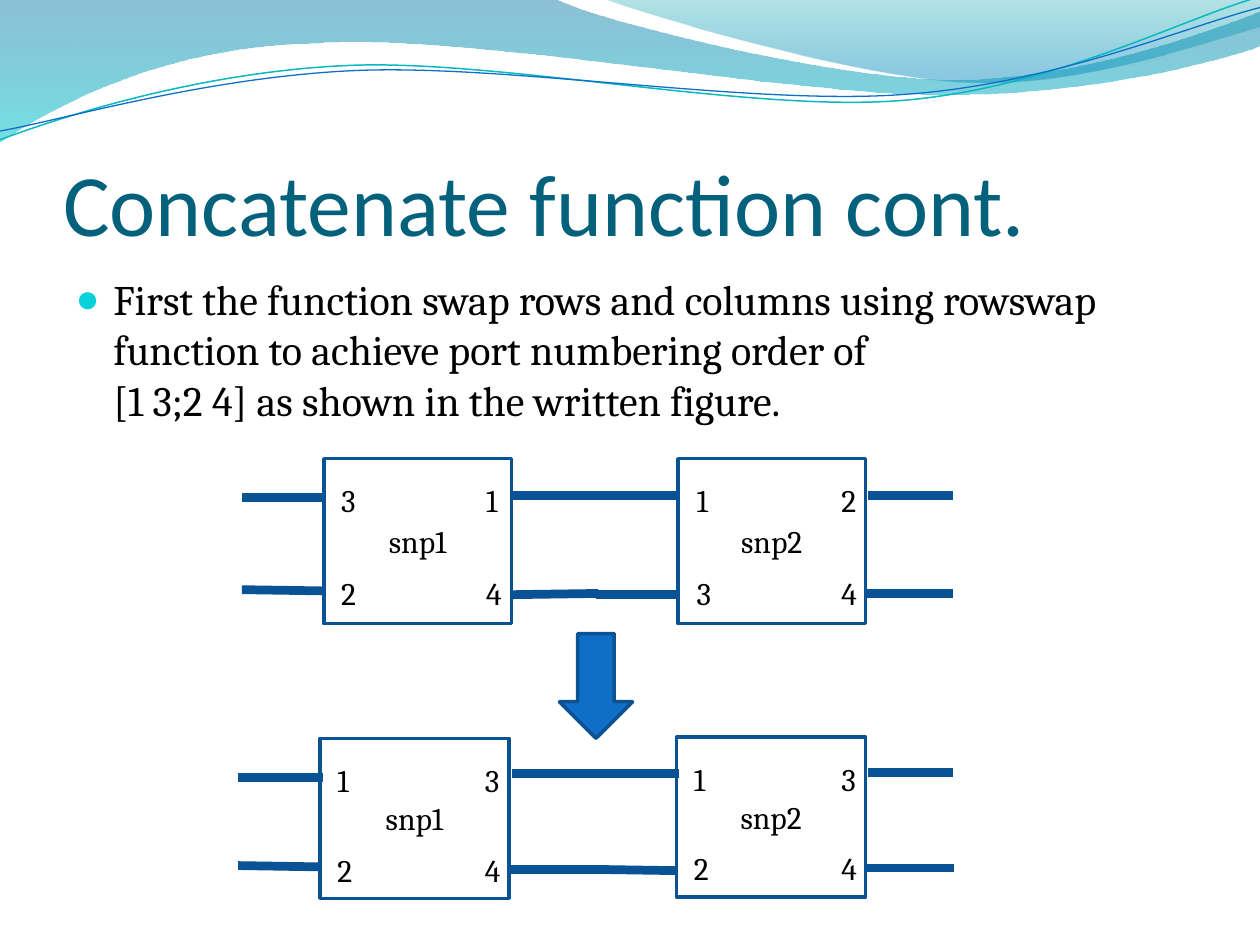
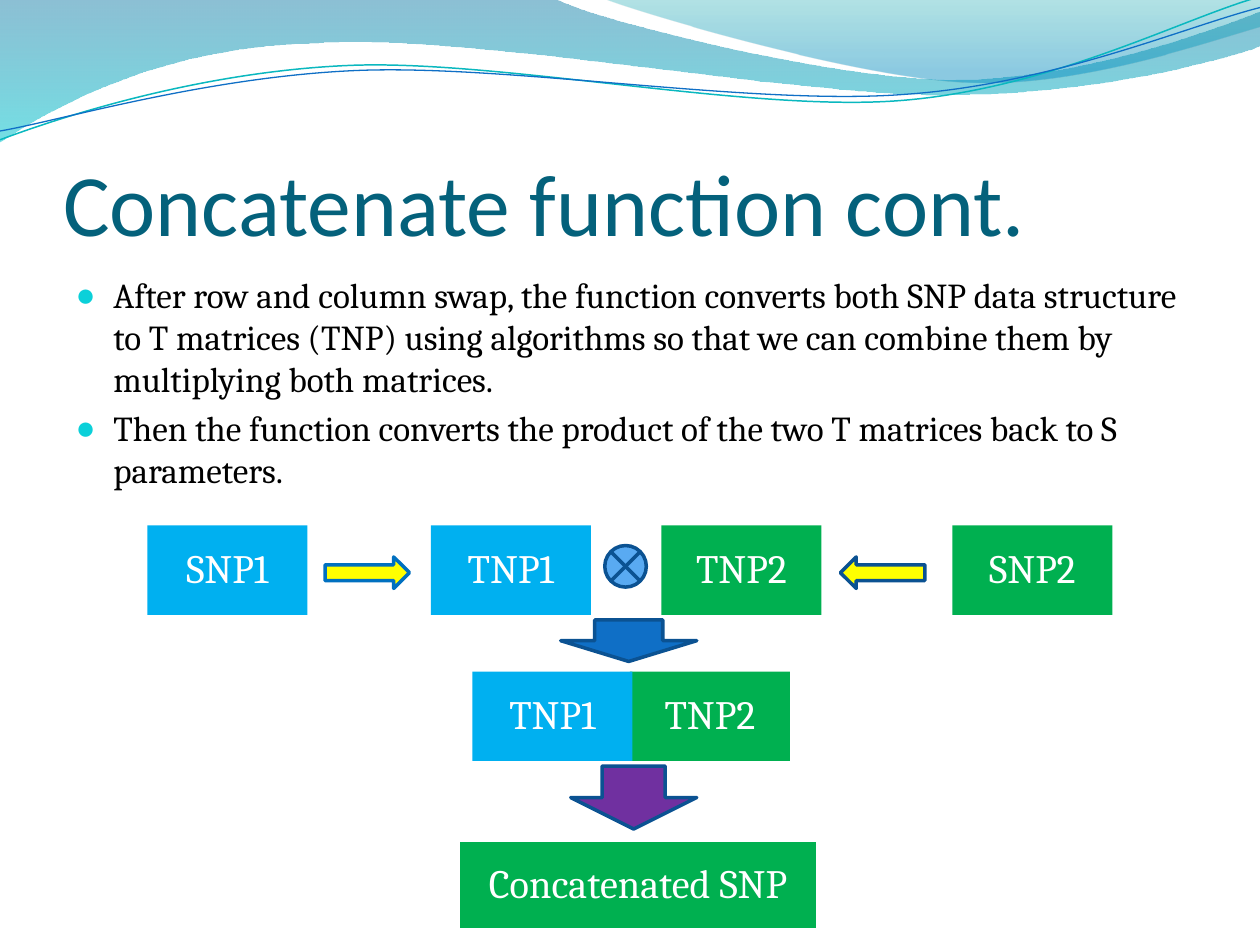
from lxml.etree import Element, SubElement
from pptx import Presentation
from pptx.dml.color import RGBColor
from pptx.enum.shapes import MSO_CONNECTOR, MSO_SHAPE
from pptx.enum.text import MSO_ANCHOR, PP_ALIGN
from pptx.oxml.ns import qn
from pptx.util import Inches, Pt

HUES = {
    "title": "04617B", "text": "000000", "white": "FFFFFF", "bullet": "0BD0D9",
    "blue": "0F6FC6", "edge": "0B5292", "wire": "095295", "sky": "00B0F0",
    "green": "00B050", "yellow": "FFFF00", "rim": "0070C0", "pale": "59AAF2",
    "purple": "7030A0", "teal": "0AB8BF", "deep": "0074A1", "aqua": "00C6CF",
    "sea": "00A1A9", "lake": "008BBF",
}
RGB = {name: RGBColor.from_string(code) for name, code in HUES.items()}


def write(frame, text, size, hue="text", font="Cambria", align=PP_ALIGN.LEFT):
    frame.word_wrap = True
    frame.text = text
    for para in frame.paragraphs:
        para.alignment = align
        para.font.name = font
        para.font.size = Pt(size)
        para.font.color.rgb = RGB[hue]


def put(slide, kind, box, fill=None, edge=None):
    """Add a preset shape; without a fill or edge hue that part stays clear."""
    shape = slide.shapes.add_shape(kind, *map(Inches, box))
    shape.shadow.inherit = False
    if fill:
        shape.fill.solid()
        shape.fill.fore_color.rgb = RGB[fill]
    else:
        shape.fill.background()
    if edge:
        shape.line.color.rgb = RGB[edge]
        shape.line.width = Pt(2)
    else:
        shape.line.fill.background()
    return shape


deck = Presentation()
deck.slide_width, deck.slide_height = Inches(10), Inches(7.5)

# Shared layout: title and body places
layout = deck.slide_layouts[1]
for holder, box in zip(layout.placeholders, [(0.5, 0.77, 9, 1.25), (0.5, 2.12, 9, 4.8)]):
    holder.left, holder.top, holder.width, holder.height = map(Inches, box)

# The two slides with their titles and lists
pages = [
    (24, "First the function swap rows and columns using rowswap function to "
         "achieve port numbering order of \v[1 3;2 4] as shown in the written figure."),
    (20, "After row and column swap, the function converts both SNP data structure "
         "to T matrices (TNP) using algorithms so that we can combine them by "
         "multiplying both matrices.\n"
         "Then the function converts the product of the two T matrices back to S "
         "parameters."),
]
for size, text in pages:
    slide = deck.slides.add_slide(layout)
    head = slide.shapes.title.text_frame
    write(head, "Concatenate function cont.", 50, "title", "Calibri")
    head.vertical_anchor = MSO_ANCHOR.BOTTOM
    head.margin_left = head.margin_right = head.margin_bottom = 0
    body = slide.placeholders[1].text_frame
    write(body, text, size)
    for para in body.paragraphs:
        props = para._p.get_or_add_pPr()
        props.set("marL", str(Inches(0.3)))
        props.set("indent", str(Inches(-0.3)))
        tint = Element(qn("a:buClr"))
        SubElement(tint, qn("a:srgbClr"), val=HUES["bullet"])
        marks = [tint, Element(qn("a:buSzPct"), val="95000"),
                 Element(qn("a:buChar"), char="●")]
        for spot, mark in enumerate(marks):
            props.insert(spot, mark)
swap, join = deck.slides

# Waves: a start, then line ends (2 numbers) or Bezier curves (6 numbers);
# a gradient is (position, hue, opacity), a line is (hue, width)
waves = [
    ([(0, 0), (4.4, -0.01), (4.76, 0.17, 6.64, 0.63, 7.58, 0.63),
      (8.53, 0.63, 9.58, 0.26, 10, 0.09), (10.01, 0.36),
      (9.83, 0.44, 8.7, 0.76, 7.46, 0.75), (6.22, 0.75, 3.82, 0.28, 2.57, 0.34),
      (1.29, 0.36, 0.46, 0.83, -0.01, 1.13), (0, 0)],
     [(0, "deep", 45), (1, "aqua", 55)], None),
    ([(4.79, -0.01), (5.09, 0.11, 6.82, 0.62, 7.69, 0.65),
      (8.56, 0.69, 9.61, 0.32, 10, 0.21), (10, 0), (4.79, -0.01)],
     [(0, "sea", 30), (0.8, "lake", 45)], None),
    ([(0, 1.11), (0.48, 0.93, 1.58, 0.57, 2.77, 0.52),
      (3.95, 0.47, 5.93, 0.89, 7.13, 0.8), (8.33, 0.71, 9.38, 0.15, 9.98, -0.02)],
     None, ("teal", 0.85)),
    ([(0, 1.04), (0.47, 0.96, 1.64, 0.61, 2.83, 0.56),
      (4.03, 0.51, 5.97, 0.84, 7.17, 0.75), (8.36, 0.67, 9.41, 0.21, 10, 0.06)],
     None, ("blue", 0.75)),
]
for spot, (route, stops, stroke) in enumerate(waves):
    dots = [(part[i] * 1000, part[i + 1] * 1000)
            for part in route for i in range(0, len(part), 2)]
    pen = swap.shapes.build_freeform(*dots[0], scale=Inches(1) / 1000)
    pen.add_line_segments(dots[1:], close=bool(stops))
    wave = pen.convert_to_shape()
    # Join each three points of a curve into one Bezier segment
    legs = iter(list(wave.element.iter(qn("a:lnTo"))))
    for part in route[1:]:
        trio = [next(legs) for _ in range(len(part) // 2)]
        if len(trio) == 3:
            curve = Element(qn("a:cubicBezTo"))
            trio[0].addprevious(curve)
            for leg in trio:
                curve.append(leg[0])
                leg.getparent().remove(leg)
    wave.shadow.inherit = False
    if stops:
        wave.line.fill.background()
        wave.fill.gradient()
        wave.fill.gradient_angle = 270
        for stop, (place, hue, _) in zip(wave.fill.gradient_stops, stops):
            stop.position = place
            stop.color.rgb = RGB[hue]
        tints = wave.element.spPr.iter(qn("a:srgbClr"))
        for tint, (_, _, alpha) in zip(list(tints), stops):
            SubElement(tint, qn("a:alpha"), val=str(alpha * 1000))
    else:
        wave.fill.background()
        wave.line.color.rgb = RGB[stroke[0]]
        wave.line.width = Pt(stroke[1])
    # Move the wave to the layout, behind the placeholders
    wave.element.nvSpPr.cNvPr.set("id", str(50 + spot))
    layout.shapes.element.insert(2 + spot, wave.element)

# Slide 1: port blocks before and after the swap.
# Ports and wires run top left, top right, bottom left, bottom right;
# a wire is (x from, y from, x to, y to), tabs are the label columns.
blocks = [
    ("snp1", (2.57, 3.64, 1.49, 1.31), "3124", (2.61, 3.76),
     [(1.92, 3.95, 2.58, 3.95), (4.07, 3.93, 4.74, 3.93),
      (1.92, 4.68, 2.57, 4.69), (4.06, 4.72, 4.75, 4.71)]),
    ("snp2", (5.38, 3.64, 1.49, 1.31), "1234", (5.43, 6.58),
     [(4.73, 3.93, 5.4, 3.93), (6.89, 3.93, 7.56, 3.93),
      (4.73, 4.72, 5.38, 4.72), (6.87, 4.71, 7.56, 4.71)]),
    ("snp1", (2.54, 5.86, 1.5, 1.27), "1324", (2.58, 3.75),
     [(1.89, 6.17, 2.56, 6.17), (4.06, 6.14, 4.73, 6.14),
      (1.89, 6.87, 2.54, 6.88), (4.05, 6.9, 4.74, 6.9)]),
    ("snp2", (5.37, 5.85, 1.5, 1.27), "1324", (5.41, 6.58),
     [(4.72, 6.14, 5.39, 6.14), (6.89, 6.13, 7.56, 6.13),
      (4.72, 6.9, 5.37, 6.91), (6.87, 6.89, 7.57, 6.89)]),
]
for name, box, ports, tabs, wires in blocks:
    block = put(swap, MSO_SHAPE.RECTANGLE, box, edge="edge")
    write(block.text_frame, name, 18, align=PP_ALIGN.CENTER)
    for ends in wires:
        wire = swap.shapes.add_connector(MSO_CONNECTOR.STRAIGHT, *map(Inches, ends))
        wire.line.color.rgb = RGB["wire"]
        wire.line.width = Pt(5)
        SubElement(wire.element.spPr, qn("a:effectLst"))
    for spot, port in enumerate(ports):
        row, side = divmod(spot, 2)
        top = box[1] + 0.13 + row * box[3] * 0.56
        place = (tabs[side], top, 0.3, 0.35)
        label = swap.shapes.add_textbox(*map(Inches, place))
        write(label.text_frame, port, 18)
put(swap, MSO_SHAPE.DOWN_ARROW, (4.44, 5.03, 0.58, 0.83), "blue", "edge")

# Slide 2: from S to T matrices and back
boxes = [
    ("SNP1", 1.17, 4.17, 1.27, "sky", None),
    ("SNP2", 7.56, 4.17, 1.27, "green", None),
    ("TNP2", 5.25, 4.17, 1.27, "green", None),
    ("TNP1", 3.42, 4.17, 1.27, "sky", None),
    ("TNP2", 5, 5.33, 1.27, "green", None),
    ("TNP1", 3.75, 5.33, 1.27, "sky", None),
    ("Concatenated SNP", 3.64, 6.67, 2.85, "green", "white"),
]
for name, x, y, wide, fill, edge in boxes:
    box = put(join, MSO_SHAPE.RECTANGLE, (x, y, wide, 0.71), fill, edge)
    write(box.text_frame, name, 23, "white", align=PP_ALIGN.CENTER)
    box.text_frame.paragraphs[0].line_spacing = 0.9

put(join, MSO_SHAPE.RIGHT_ARROW, (2.58, 4.42, 0.67, 0.25), "yellow", "rim")
back = put(join, MSO_SHAPE.RIGHT_ARROW, (6.67, 4.42, 0.67, 0.25), "yellow", "edge")
back.rotation = 180
put(join, MSO_SHAPE.FLOWCHART_SUMMING_JUNCTION, (4.8, 4.33, 0.33, 0.33), "pale", "edge")
put(join, MSO_SHAPE.DOWN_ARROW, (4.45, 4.92, 1.08, 0.33), "blue", "edge")
put(join, MSO_SHAPE.DOWN_ARROW, (4.53, 6.08, 1, 0.5), "purple", "edge")

deck.save("out.pptx")
